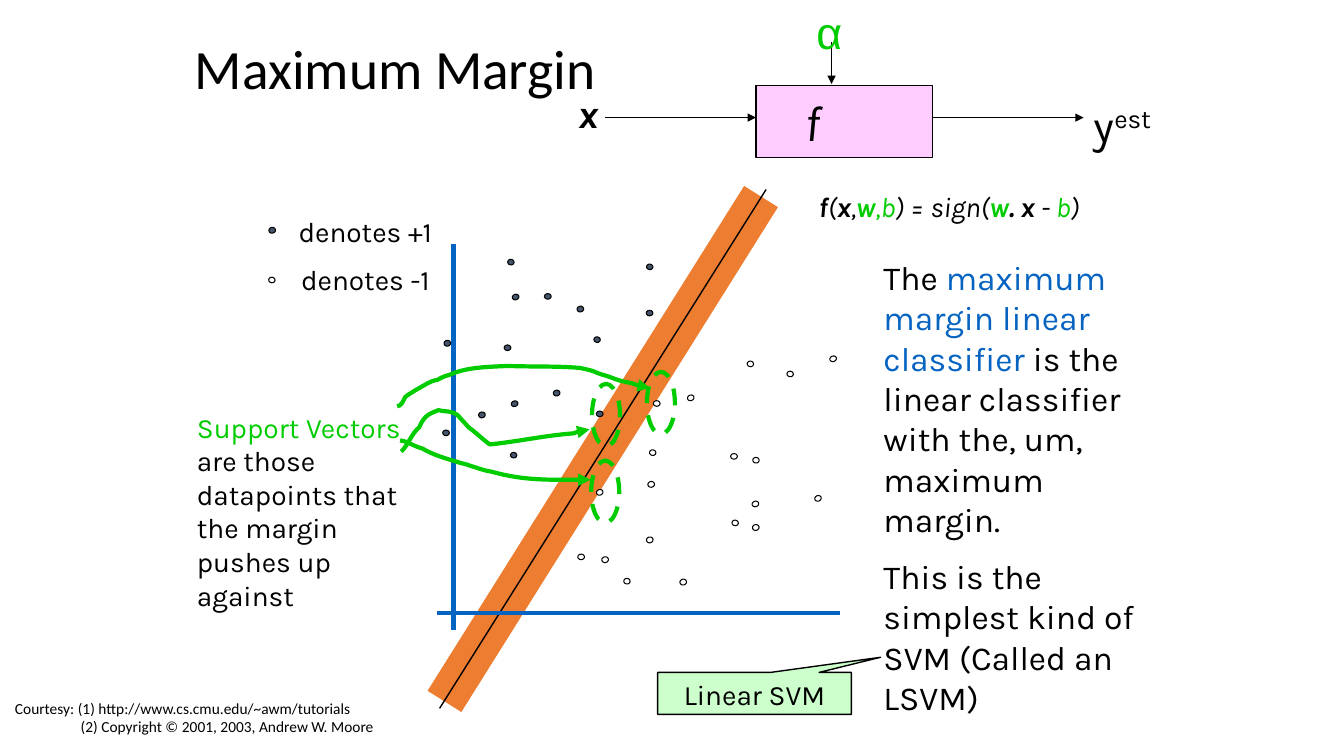
import pptx
import pptx.dml.color
import pptx.enum.dml
import pptx.enum.shapes
import pptx.enum.text
import pptx.oxml
import pptx.oxml.ns
import pptx.util

Pt = pptx.util.Pt
SHAPES = pptx.enum.shapes.MSO_SHAPE
ALIGN = pptx.enum.text.PP_ALIGN
ANCHOR = pptx.enum.text.MSO_ANCHOR

BLACK, WHITE, SLATE = "000000", "FFFFFF", "44546A"
GREEN, BLUE, ORANGE = "00CC00", "0563C1", "ED7D31"
PINK, MINT = "FFCCFF", "CCFFCC"

DOT_SIZES = {0: (4.8, 4), 341.4: (4.8, 4), 98.3: (4, 4.6), 79.6: (4.2, 4.8)}
POSITIVE_DOTS = {
    0: [(18.6, 209.2), (164, 123.6), (91.3, 111.7), (128.4, 195.6), (62.5, 148.4)],
    341.4: [(68.3, 112.2), (67.6, 188.4)],
    98.3: [(126.5, 142.6), (66.9, 225.1), (164.1, 90.6), (64.9, 87.2)],
    79.6: [(97.6, 180.8), (44.2, 196.4), (114.5, 120.8), (19.5, 145.2)],
}
NEGATIVE_DOTS = {
    0: [(115.1, 297.8), (169.1, 188.2), (224.3, 226)],
    341.4: [(128.4, 251.7), (295.1, 156.3), (239.6, 260), (193.4, 184.2), (284.3, 256)],
    98.3: [(147.8, 315.1), (240, 228.7), (166.2, 223.3), (264.4, 167.1),
           (236, 159.9), (225.1, 273.5)],
    79.6: [(188, 315.8), (164.1, 285.7), (165.1, 246), (132.2, 299.8), (239.8, 276.8)],
}
SUPPORT_RINGS = [(162.1, 165.6), (122.9, 174.2), (122.3, 229)]
SUPPORT_ARROWS = [
    [(-13.4, 222.6),
     (-9.1, 219), (-5.5, 208.9), (-0.5, 205.3),
     (3.1, 195.9), (8.2, 195.2), (13.2, 193),
     (19, 194.5), (21.8, 193), (26.9, 196.6),
     (29.5, 199.5), (32.2, 202.4), (34.8, 205.3),
     (39.8, 208.9), (44.9, 213.9), (49.9, 217.5),
     (70.1, 215.4), (90.2, 211), (109.7, 209.6),
     (113.3, 208.2), (117.6, 206.7), (121.2, 206.7)],
    [(-16.3, 190.2),
     (-13.4, 190.2), (-12, 186.6), (-10.6, 183.7),
     (-9.1, 182.2), (-1.9, 177.9), (-0.5, 177.2),
     (3.8, 175), (6.7, 172.2), (12.5, 171.4),
     (14.6, 170), (17.5, 168.6), (21.1, 167.8),
     (33.4, 162.1), (49.2, 162.1), (62.9, 161.4),
     (80.2, 162.1), (97.4, 161.4), (114, 162.8),
     (117.6, 163.5), (120.5, 164.2), (123.4, 165),
     (127.7, 167.1), (131.3, 167.8), (135.6, 169.3),
     (140.6, 171.4), (145.7, 172.9), (150.7, 173.6),
     (155, 175), (160.1, 177.2), (164.4, 177.2)],
    [(-14.2, 214.6),
     (-8.4, 215.4), (-4.1, 219), (1.7, 220.4),
     (8.9, 224.7), (18.2, 227.6), (26.2, 229.8),
     (29, 231.2), (32.6, 231.2), (35.5, 232.6),
     (40.6, 234.1), (45.6, 236.2), (51.4, 237),
     (73.7, 243.4), (98.9, 242.7), (121.9, 242.7)],
]


def color(value):
    return pptx.dml.color.RGBColor.from_string(value)


def new_element(tag, attributes=""):
    return pptx.oxml.parse_xml(f'<a:{tag} {pptx.oxml.ns.nsdecls("a")} {attributes}/>')


def set_line(item, value, width, arrow=False):
    item.line.color.rgb = color(value)
    item.line.width = Pt(width)
    if arrow:
        item.line._get_or_add_ln().append(new_element("tailEnd", 'type="triangle"'))


def add_line(page, start, end, value=BLACK, width=1, arrow=False):
    line = page.shapes.add_connector(
        pptx.enum.shapes.MSO_CONNECTOR.STRAIGHT,
        *(Pt(number) for number in (*start, *end)))
    set_line(line, value, width, arrow)
    line._element.spPr.append(new_element("effectLst"))


def add_figure(page, kind, box, fill, value=BLACK, width=1):
    figure = page.shapes.add_shape(kind, *(Pt(number) for number in box))
    figure.shadow.inherit = False
    if fill:
        figure.fill.solid()
        figure.fill.fore_color.rgb = color(fill)
    else:
        figure.fill.background()
    set_line(figure, value, width)
    return figure


def fill_text(frame, paragraphs, size, align=ALIGN.LEFT, font="Karla", gap=0):
    frame.word_wrap = True
    for index, spans in enumerate(paragraphs):
        para = frame.add_paragraph() if index else frame.paragraphs[0]
        para.alignment = align
        if index:
            para.space_before = Pt(gap)
        for text, value, style in spans:
            span = para.add_run()
            span.text = text
            span.font.name = font
            span.font.size = Pt(size)
            span.font.bold = "b" in style
            span.font.italic = "i" in style
            span.font.color.rgb = color(value)
            if "^" in style:
                span._r.get_or_add_rPr().set("baseline", "30000")


def add_text(page, box, paragraphs, size, **options):
    frame = page.shapes.add_textbox(*(Pt(number) for number in box)).text_frame
    fill_text(frame, paragraphs, size, **options)
    return frame


def add_dot(page, x, y, tilt, fill):
    width, height = DOT_SIZES[tilt]
    box = (x - width / 2, y - height / 2, width, height)
    add_figure(page, SHAPES.OVAL, box, fill, width=0.75).rotation = tilt


def add_curved_arrow(page, left, top, points):
    track = [(Pt(left + x), Pt(top + y)) for x, y in points]
    builder = page.shapes.build_freeform(*track[0])
    builder.add_line_segments(track[1:], close=False)
    arrow = builder.convert_to_shape()
    segments = arrow._element.spPr.findall(".//" + pptx.oxml.ns.qn("a:lnTo"))
    for index in range(0, len(segments), 3):
        curve = new_element("cubicBezTo")
        segments[index].addprevious(curve)
        for segment in segments[index:index + 3]:
            curve.append(segment[0])
            segment.getparent().remove(segment)
    arrow.shadow.inherit = False
    arrow.fill.background()
    set_line(arrow, GREEN, 3, arrow=True)


def draw_title(page, *box):
    title = page.shapes.title
    title.left, title.top, title.width, title.height = map(Pt, box)
    frame = title.text_frame
    frame.auto_size = pptx.enum.text.MSO_AUTO_SIZE.NONE
    frame.vertical_anchor = ANCHOR.MIDDLE
    fill_text(frame, [[("Maximum Margin", BLACK, "")]], 39.6, font="Calibri")
    frame.paragraphs[0].line_spacing = 0.9


def draw_classifier(page, left, top, width, height):
    middle, center = top + 23, left + 54
    machine = add_figure(page, SHAPES.RECTANGLE, (left, top, width, height), PINK)
    machine.text_frame.vertical_anchor = ANCHOR.MIDDLE
    machine.text_frame.margin_right = Pt(53)
    fill_text(machine.text_frame, [[("f", BLACK, "i")]], 36, align=ALIGN.CENTER)
    add_line(page, (left - 108, middle), (left, middle), arrow=True)
    add_line(page, (center, top - 31), (center, top - 1), arrow=True)
    add_line(page, (left + width, middle), (left + width + 108, middle), arrow=True)
    add_text(page, (left - 144, top - 1, 48, 41), [[("x", BLACK, "bi")]], 28,
             align=ALIGN.CENTER)
    add_text(page, (left + 36, top - 61, 30, 45), [[("α", GREEN, "")]], 32,
             align=ALIGN.CENTER, font="Arial")
    add_text(page, (left + width + 108, top + 5, 66, 45),
             [[("y", BLACK, ""), ("est", BLACK, "^")]], 32)
    formula = [("f", BLACK, "bi"), ("(", BLACK, "i"), ("x", BLACK, "bi"),
               (",", BLACK, "i"), ("w", GREEN, "bi"), (",b", GREEN, "i"),
               (") = sign(", BLACK, "i"), ("w", GREEN, "bi"), (". x ", BLACK, "bi"),
               ("- ", BLACK, "i"), ("b", GREEN, "i"), (")", BLACK, "i")]
    add_text(page, (left + 12, top + 71, 252, 31), [formula], 20, align=ALIGN.CENTER)


def draw_legend(page, left, top, width, height):
    labels = [[("denotes +1", BLACK, "")], [("denotes -1", BLACK, "")]]
    add_text(page, (left, top, width, height), labels, 20, align=ALIGN.CENTER, gap=10)
    add_dot(page, left + 8.4, top + 14.5, 79.6, SLATE)
    add_dot(page, left + 8.2, top + 50, 98.3, WHITE)


def draw_plot(page, left, top):
    add_line(page, (left + 17.5, top + 401), (left + 243.6, top + 40.4), ORANGE, 28.5)
    add_line(page, (left + 14, top + 406), (left + 247.2, top + 35.4))
    add_line(page, (left + 24, top + 74), (left + 24, top + 350), BLUE, 3)
    add_line(page, (left + 12, top + 338), (left + 300, top + 338), BLUE, 3)
    for dots, fill in ((POSITIVE_DOTS, SLATE), (NEGATIVE_DOTS, WHITE)):
        for tilt, centers in dots.items():
            for x, y in centers:
                add_dot(page, left + x, top + y, tilt, fill)
    for points in SUPPORT_ARROWS:
        add_curved_arrow(page, left, top, points)
    for x, y in SUPPORT_RINGS:
        ring = add_figure(page, SHAPES.OVAL, (left + x, top + y, 20, 44.6), None, GREEN, 3)
        ring.line.dash_style = pptx.enum.dml.MSO_LINE.DASH


def draw_support_note(page, *box):
    note = [("Support Vectors ", GREEN, ""),
            ("are those datapoints that the margin pushes up against", BLACK, "")]
    add_text(page, box, [note], 20)


def draw_explanation(page, left, top, width, height):
    definition = [("The ", BLACK, ""), ("maximum margin linear classifier", BLUE, ""),
                  (" is the linear classifier with the, um, maximum margin.", BLACK, "")]
    remark = [("This is the simplest kind of SVM (Called an LSVM)", BLACK, "")]
    add_text(page, (left, top, width, height), [definition, remark], 24, gap=12)
    callout = add_figure(page, SHAPES.RECTANGULAR_CALLOUT,
                         (left - 154.2, top + 300.3, 138.4, 30), MINT)
    callout.adjustments[0], callout.adjustments[1] = 0.65, -0.86
    callout.text_frame.vertical_anchor = ANCHOR.TOP
    fill_text(callout.text_frame, [[("Linear SVM", BLACK, "")]], 20, align=ALIGN.CENTER)


def draw_credits(page, *box):
    credits = [[("Courtesy: (1) http://www.cs.cmu.edu/~awm/tutorials", BLACK, "")],
               [("(2) Copyright © 2001, 2003, Andrew W. Moore", BLACK, "")]]
    frame = add_text(page, box, credits, 11, font="Calibri")
    frame.paragraphs[1]._p.get_or_add_pPr().set("marL", str(Pt(47)))


def main():
    deck = pptx.Presentation()
    deck.slide_width, deck.slide_height = Pt(960), Pt(540)
    page = deck.slides.add_slide(deck.slide_layouts[5])
    draw_title(page, 132, 24, 366, 54)
    draw_classifier(page, 540, 61, 126, 51.6)
    draw_legend(page, 186, 150, 150, 67)
    draw_plot(page, 300, 100)
    draw_support_note(page, 133.5, 289.4, 167, 151)
    draw_explanation(page, 624, 180, 216, 312)
    draw_credits(page, 3.6, 495.8, 277, 34)
    deck.save("out.pptx")


if __name__ == "__main__":
    main()
